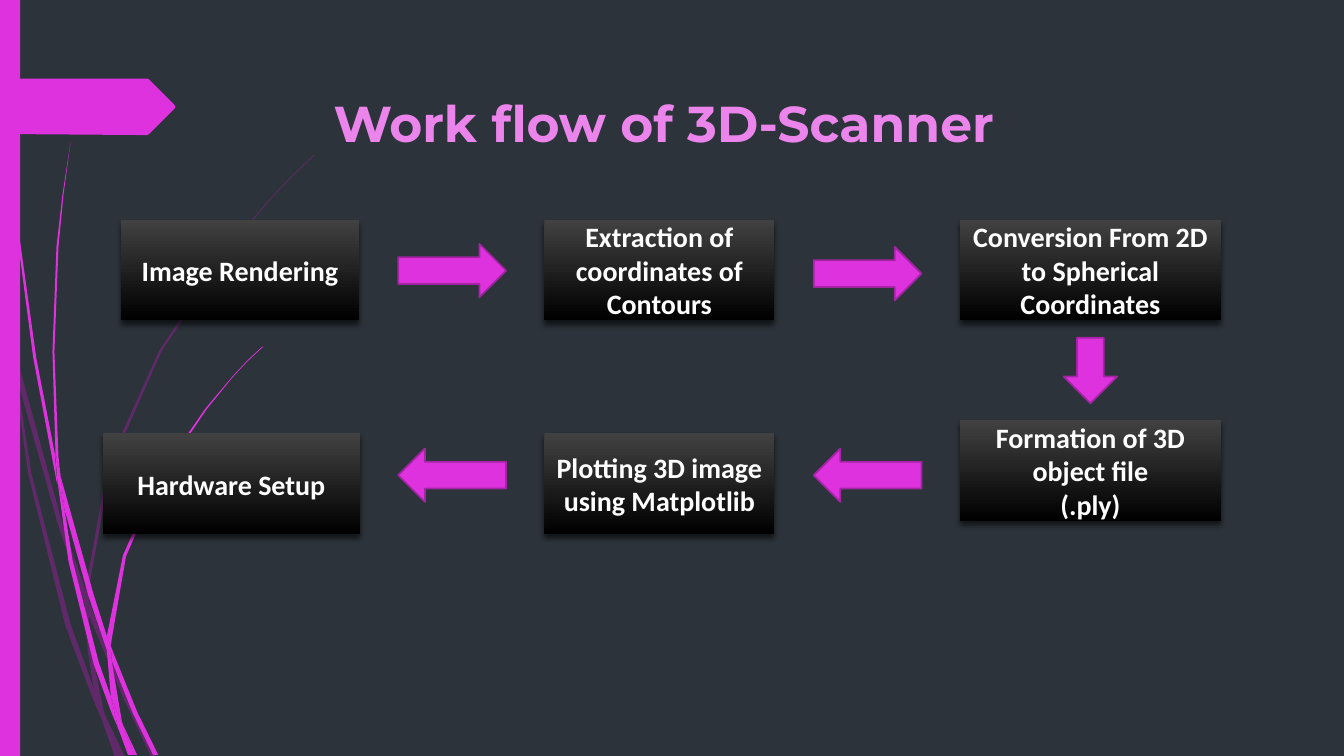
from lxml import etree
from pptx import Presentation
from pptx import util as u
from pptx.dml.color import RGBColor
from pptx.enum import shapes, text
from pptx.oxml import ns

PX = 9144  # 100 px to the inch
SLATE = RGBColor(0x2C, 0x33, 0x3A)
MAGENTA = RGBColor(0xDE, 0x32, 0xDE)
PLUM = RGBColor(0xB0, 0x1C, 0xB0)
ARROW_EDGE = RGBColor(0xA4, 0x25, 0xA4)
PINK = RGBColor(0xEB, 0x84, 0xEB)
GREY = RGBColor(0x41, 0x41, 0x41)
BLACK = RGBColor(0, 0, 0)
WHITE = RGBColor(0xFF, 0xFF, 0xFF)
KIND = shapes.MSO_SHAPE

# Outlines of the blades of grass, in px
FAINT_BLADES = [
    [(11, 350), (9, 322), (0, 282), (0, 299), (10, 344)],
    [(58, 522), (84, 599), (85, 586), (62, 520), (14, 345), (17, 376)],
    [(92, 607), (88, 596), (88, 610), (123, 694), (150, 751), (155, 751), (127, 692)],
    [(119, 751), (124, 751), (105, 711)],
    [(93, 683), (70, 619), (31, 469), (17, 376), (11, 350), (28, 470), (65, 621), (92, 693),
     (101, 714), (99, 707)],
    [(84, 599), (87, 646), (93, 683), (96, 692), (105, 711), (103, 706), (91, 646), (88, 610),
     (88, 608)],
    [(88, 584), (110, 462), (160, 349), (229, 245), (268, 198), (290, 175), (312, 154),
     (312, 153), (289, 175), (268, 197), (228, 244), (158, 348), (107, 461), (85, 584),
     (85, 586), (88, 596)],
    [(101, 714), (114, 751), (119, 751)],
    [(88, 608), (88, 610), (88, 596), (85, 586), (84, 599)],
    [(96, 692), (93, 683), (99, 707), (101, 714), (119, 751), (105, 711)],
]
BRIGHT_BLADES = [
    [(7, 110), (17, 233), (33, 355), (56, 477), (57, 481), (55, 457), (55, 453), (36, 355),
     (19, 232), (8, 109), (5, 48), (4, 0), (3, 0), (4, 48)],
    [(88, 592), (106, 645), (106, 633), (106, 631), (93, 590), (60, 472), (64, 505)],
    [(113, 649), (110, 641), (111, 656), (132, 708), (152, 749), (157, 749), (136, 706)],
    [(110, 691), (98, 657), (72, 556), (64, 505), (57, 477), (68, 557), (93, 659), (111, 708),
     (117, 722), (116, 717)],
    [(60, 472), (58, 453), (54, 349), (58, 245), (63, 193), (70, 141), (62, 193), (56, 245),
     (52, 349), (55, 449)],
    [(133, 749), (136, 749), (122, 719)],
    [(57, 477), (64, 505), (60, 472), (55, 449), (55, 453)],
    [(111, 633), (125, 552), (158, 476), (205, 406), (231, 374), (245, 359), (261, 344),
     (260, 344), (245, 358), (231, 373), (204, 405), (156, 474), (122, 551), (106, 631),
     (110, 641)],
    [(117, 722), (127, 749), (131, 749)],
    [(106, 645), (110, 691), (116, 706), (122, 719), (121, 716), (111, 656), (109, 651)],
    [(106, 645), (109, 651), (111, 656), (110, 641), (106, 631), (106, 633)],
    [(116, 706), (110, 691), (116, 717), (117, 722), (130, 749), (133, 749), (122, 719)],
]
TAG = [(173, 108), (148, 133), (146, 134), (136, 134), (0, 133), (0, 78), (136, 78), (146, 78),
       (148, 79), (173, 104), (174, 106)]

TOP_ROW, BOTTOM_ROW = 218, 430
STEPS = [  # left, top, width, paragraphs
    (120, TOP_ROW, 236, ["Image Rendering"]),
    (540, TOP_ROW, 228, ["Extraction of coordinates of Contours"]),
    (952, TOP_ROW, 259, ["Conversion From 2D to Spherical Coordinates"]),
    (952, 417, 259, ["Formation of 3D object file", "(.ply)"]),
    (540, BOTTOM_ROW, 228, ["Plotting 3D image using Matplotlib"]),
    (102, BOTTOM_ROW, 255, ["Hardware Setup"]),
]
ARROWS = [
    (KIND.RIGHT_ARROW, 395, 242, 107, 53),
    (KIND.RIGHT_ARROW, 807, 245, 107, 53),
    (KIND.DOWN_ARROW, 1055, 335, 53, 65),
    (KIND.LEFT_ARROW, 807, 445, 107, 53),
    (KIND.LEFT_ARROW, 395, 445, 107, 53),
]


def paint(shape, color):
    shape.shadow.inherit = False
    shape.fill.solid()
    shape.fill.fore_color.rgb = color
    shape.line.fill.background()


def add_outline(slide, points, color, alpha=None):
    builder = slide.shapes.build_freeform(*points[0], scale=PX)
    builder.add_line_segments(points[1:], close=True)
    shape = builder.convert_to_shape()
    paint(shape, color)
    if alpha is not None:
        tint = shape.element.spPr.find(ns.qn("a:solidFill")).find(ns.qn("a:srgbClr"))
        etree.SubElement(tint, ns.qn("a:alpha")).set("val", str(alpha * 1000))


def add_block(slide, kind, left, top, width, height, color=MAGENTA):
    shape = slide.shapes.add_shape(kind, left * PX, top * PX, width * PX, height * PX)
    paint(shape, color)
    return shape


def write(shape, paragraphs, *, font, size, color, align):
    frame = shape.text_frame
    frame.word_wrap = True
    for index, words in enumerate(paragraphs):
        paragraph = frame.add_paragraph() if index else frame.paragraphs[0]
        paragraph.alignment = align
        run = paragraph.add_run()
        run.text = words
        run.font.name = font
        run.font.size = u.Pt(size)
        run.font.bold = True
        run.font.color.rgb = color


def add_step(slide, left, top, width, paragraphs):
    shape = add_block(slide, KIND.RECTANGLE, left, top, width, 100)
    shape.fill.gradient()
    shape.fill.gradient_angle = 270
    for stop, color, position in zip(shape.fill.gradient_stops, (GREY, BLACK), (0, 1)):
        stop.color.rgb = color
        stop.position = position
    effects = shape.element.spPr.find(ns.qn("a:effectLst"))
    shadow = etree.SubElement(effects, ns.qn("a:outerShdw"), blurRad=str(u.Pt(4)),
                              dist=str(u.Pt(3)), dir="5400000", rotWithShape="0")
    tint = etree.SubElement(shadow, ns.qn("a:srgbClr"), val=str(BLACK))
    etree.SubElement(tint, ns.qn("a:alpha"), val="60000")
    shape.text_frame.vertical_anchor = text.MSO_ANCHOR.MIDDLE
    write(shape, paragraphs, font="Calibri", size=20, color=WHITE, align=text.PP_ALIGN.CENTER)


def add_arrow(slide, kind, *place):
    arrow = add_block(slide, kind, *place)
    arrow.line.color.rgb = ARROW_EDGE
    arrow.line.width = u.Pt(1.25)


def add_title(slide, words):
    box = slide.shapes.add_textbox(321 * PX, 86 * PX, 711 * PX, 71 * PX)
    box.text_frame.auto_size = text.MSO_AUTO_SIZE.SHAPE_TO_FIT_TEXT
    write(box, [words], font="Montserrat", size=36, color=PINK, align=text.PP_ALIGN.LEFT)


def main():
    presentation = Presentation()
    presentation.slide_width, presentation.slide_height = u.Inches(13.33), u.Inches(7.5)
    slide = presentation.slides.add_slide(presentation.slide_layouts[6])
    slide.background.fill.solid()
    slide.background.fill.fore_color.rgb = SLATE

    # Decoration on the left
    for blade in FAINT_BLADES:
        add_outline(slide, blade, PLUM, alpha=40)
    for blade in BRIGHT_BLADES:
        add_outline(slide, blade, MAGENTA)
    add_block(slide, KIND.RECTANGLE, 0, 0, 20, 750)
    add_outline(slide, TAG, MAGENTA)

    # Workflow
    for step in STEPS:
        add_step(slide, *step)
    for arrow in ARROWS:
        add_arrow(slide, *arrow)
    add_title(slide, "Work flow of 3D-Scanner")

    presentation.save("out.pptx")


if __name__ == "__main__":
    main()
